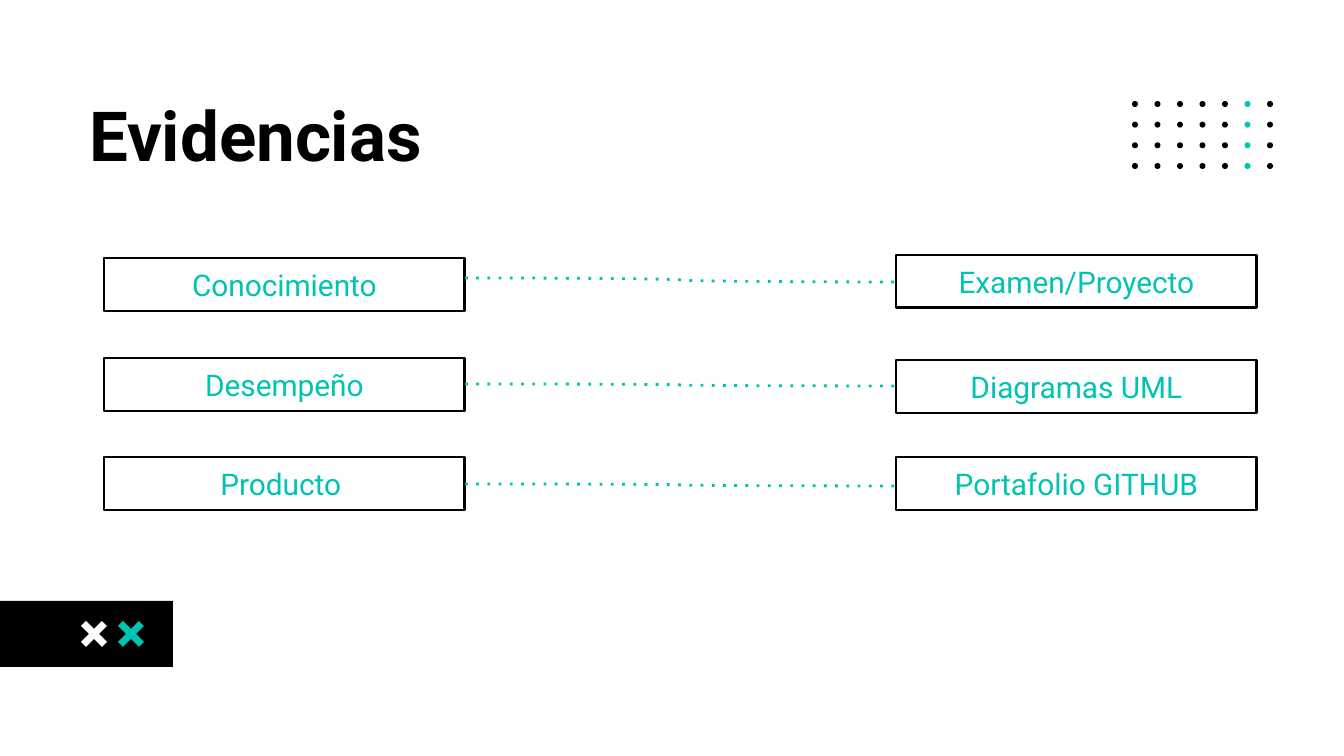
from lxml import etree
from pptx import Presentation
from pptx import util as u
from pptx.dml.color import RGBColor
from pptx.enum import shapes, text
from pptx.oxml.ns import qn

PX = 914400 / 134.4
BLACK, TEAL, WHITE = "000000", "00C3B1", "FFFFFF"
FONT = "Roboto"

TITLE = "Evidencias"
BOX_W, BOX_H = 361, 53
LEFT_X, RIGHT_X = 104, 896
ROWS = [
    (("Conocimiento", 258), ("Examen/Proyecto", 255), (278, 282)),
    (("Desempeño", 358), ("Diagramas UML", 360), (384, 386)),
    (("Producto ", 457), ("Portafolio GITHUB", 457), (484, 486)),
]
DOT_COLUMNS, DOT_ROWS, DOT_SIZE, TEAL_COLUMN = 7, 4, 6, 5
DOTS_LEFT, DOTS_TOP, DOTS_SPAN_X, DOTS_SPAN_Y = 1132, 101, 135, 62
CROSSES = [(118, TEAL), (81, WHITE)]
CROSS_TOP = 621
CROSS_POINTS = [(26, 5), (21, 0), (13, 8), (5, 0), (0, 5), (8, 13),
                (0, 21), (5, 26), (13, 18), (21, 26), (26, 21), (18, 13)]


def px(value):
    return u.Emu(round(value * PX))


def color(value):
    return RGBColor.from_string(value)


def paint(shape, fill):
    shape.shadow.inherit = False
    shape.fill.solid()
    shape.fill.fore_color.rgb = color(fill)
    shape.line.fill.background()


def add_filled(kind, left, top, width, height, fill):
    shape = page.shapes.add_shape(kind, px(left), px(top), px(width), px(height))
    paint(shape, fill)


def write(box, words, size, ink, align, bold=False):
    frame = box.text_frame
    frame.word_wrap = True
    frame.margin_left = frame.margin_right = u.Inches(0.1)
    frame.margin_top = frame.margin_bottom = u.Inches(0.1)
    para = frame.paragraphs[0]
    para.alignment = align
    span = para.add_run()
    span.text = words
    span.font.name = FONT
    span.font.size = u.Pt(size)
    span.font.bold = bold
    span.font.color.rgb = color(ink)


def add_label(left, words, top):
    box = page.shapes.add_shape(shapes.MSO_SHAPE.RECTANGLE,
                                px(left), px(top), px(BOX_W), px(BOX_H))
    box.shadow.inherit = False
    box.fill.background()
    box.line.color.rgb = color(BLACK)
    box.line.width = u.Pt(1.5)
    box.text_frame.vertical_anchor = text.MSO_ANCHOR.MIDDLE
    write(box, words, 16, TEAL, text.PP_ALIGN.CENTER)


def add_link(start_y, end_y):
    link = page.shapes.add_connector(shapes.MSO_CONNECTOR.CURVE,
                                     px(LEFT_X + BOX_W), px(start_y), px(RIGHT_X), px(end_y))
    link.line.color.rgb = color(TEAL)
    link.line.width = u.Pt(1.5)
    properties = link.element.spPr
    etree.SubElement(properties.find(qn("a:ln")), qn("a:prstDash")).set("val", "dot")
    etree.SubElement(properties, qn("a:effectLst"))


deck = Presentation()
deck.slide_width, deck.slide_height = px(1344), px(756)
page = deck.slides.add_slide(deck.slide_layouts[6])

for row in range(DOT_ROWS):
    for column in range(DOT_COLUMNS):
        add_filled(shapes.MSO_SHAPE.OVAL,
                   DOTS_LEFT + column * DOTS_SPAN_X / (DOT_COLUMNS - 1),
                   DOTS_TOP + row * DOTS_SPAN_Y / (DOT_ROWS - 1),
                   DOT_SIZE, DOT_SIZE, TEAL if column == TEAL_COLUMN else BLACK)

add_filled(shapes.MSO_SHAPE.RECTANGLE, 0, 601, 173, 66, BLACK)
for left, fill in CROSSES:
    points = [(left + x, CROSS_TOP + y) for x, y in CROSS_POINTS]
    outline = page.shapes.build_freeform(*points[0], scale=PX)
    outline.add_line_segments(points[1:], close=True)
    paint(outline.convert_to_shape(), fill)

title = page.shapes.add_textbox(px(76), px(79), px(1191), px(106))
write(title, TITLE, 37, BLACK, text.PP_ALIGN.LEFT, bold=True)

for left_label, right_label, link_ends in ROWS:
    add_label(LEFT_X, *left_label)
    add_label(RIGHT_X, *right_label)
    add_link(*link_ends)

deck.save("out.pptx")
